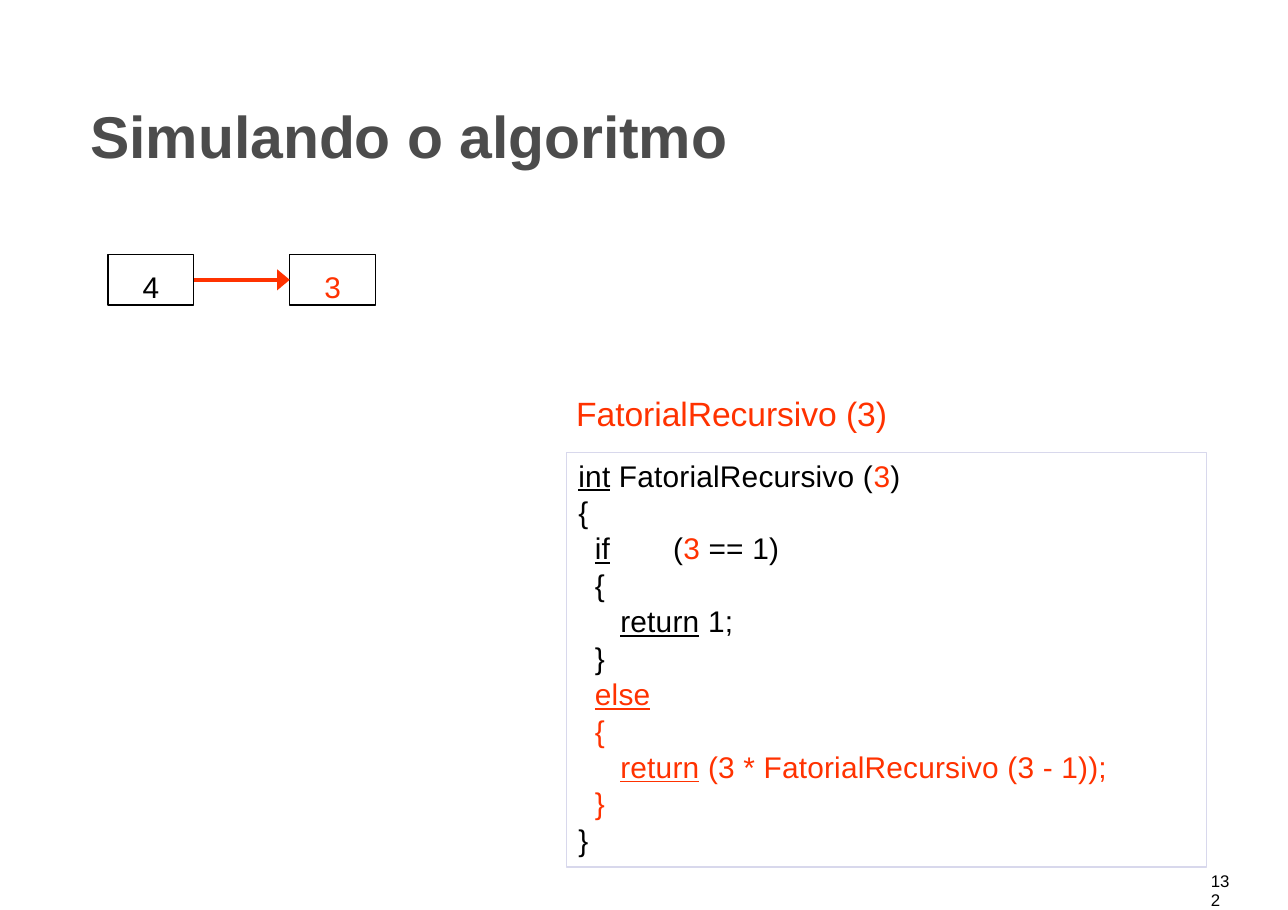
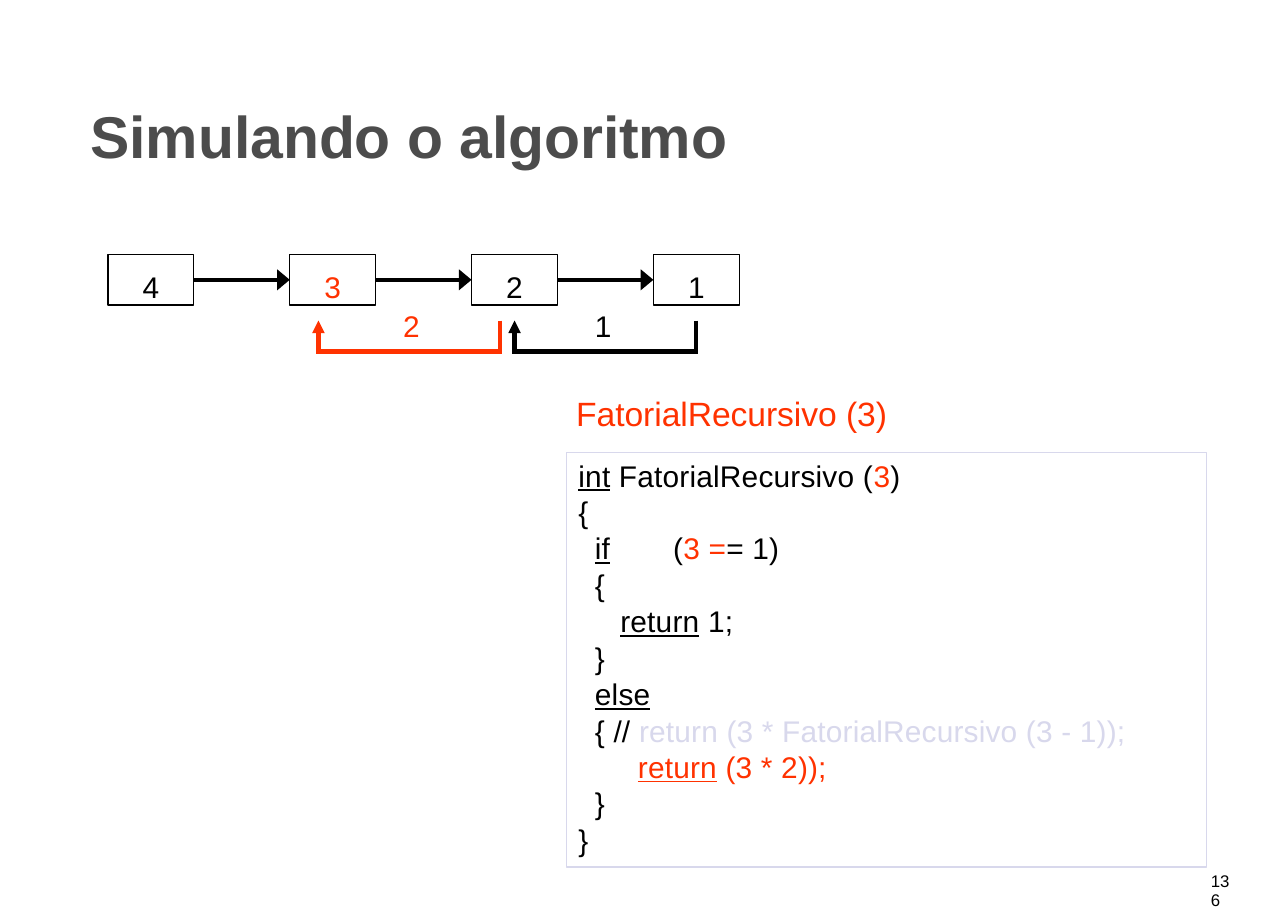
import pptx
import pptx.util
import pptx.dml.color
import pptx.enum.shapes
import pptx.enum.text
import pptx.oxml
import pptx.oxml.ns
from pptx.util import Inches

COLORS = {"black": "000000", "red": "FF3200", "title": "4C4C4C", "pale": "D8D8EC"}
FONT = "Arial"
CODE_SIZE = 19.5
BOX_LEFT, BOX_TOP, BOX_WIDTH, BOX_HEIGHT, BOX_PITCH = 0.98, 2.31, 0.78, 0.46, 1.65
RETURN_TOP, RETURN_BOTTOM = 2.91, 3.19


def write(shape, lines, size, top=0, spacing=10, bold=False, centred=False):
    """Each line is (indent in inches, [(text, colour name, underlined), ...])."""
    frame = shape.text_frame
    frame.word_wrap = True
    frame.vertical_anchor = pptx.enum.text.MSO_ANCHOR.TOP
    frame.margin_left = frame.margin_right = frame.margin_bottom = 0
    frame.margin_top = Inches(top)
    for number, (indent, pieces) in enumerate(lines):
        paragraph = frame.add_paragraph() if number else frame.paragraphs[0]
        align = pptx.enum.text.PP_ALIGN
        paragraph.alignment = align.CENTER if centred else align.LEFT
        if number:
            paragraph.space_before = pptx.util.Pt(0.4)
        properties = paragraph._p.get_or_add_pPr()
        properties.set("marL", str(Inches(indent)))
        if any("\t" in text for text, _, _ in pieces):
            tabs = pptx.oxml.parse_xml(
                f'<a:tabLst {pptx.oxml.ns.nsdecls("a")}>'
                f'<a:tab pos="{Inches(0.71)}" algn="l"/></a:tabLst>')
            properties.append(tabs)
        for text, color, underlined in pieces:
            run = paragraph.add_run()
            run.text = text
            run.font.name = FONT
            run.font.size = pptx.util.Pt(size)
            run.font.bold = bold
            run.font.underline = underlined
            run.font.color.rgb = pptx.dml.color.RGBColor.from_string(COLORS[color])
            run._r.get_or_add_rPr().set("spc", str(spacing))


def draw_line(shape, color, width, head=None):
    """Colour an outline; head is the (width, length) of an end arrowhead."""
    shape.line.color.rgb = pptx.dml.color.RGBColor.from_string(COLORS[color])
    shape.line.width = pptx.util.Pt(width)
    if head:
        outline = shape.line._get_or_add_ln()
        namespace = pptx.oxml.ns.nsdecls("a")
        outline.append(pptx.oxml.parse_xml(f'<a:miter {namespace} lim="800000"/>'))
        outline.append(pptx.oxml.parse_xml(
            f'<a:tailEnd {namespace} type="triangle" w="{head[0]}" len="{head[1]}"/>'))


# Code listing: the parts common to both steps
def_line = (0.11, [("int", "black", True), (" FatorialRecursivo (", "black", False),
                   ("3", "red", False), (")", "black", False)])
open_function = (0.11, [("{", "black", False)])
close_function = (0.11, [("}", "black", False)])
open_block = (0.26, [("{", "black", False)])
close_block = (0.26, [("}", "black", False)])
return_one = (0.49, [("return", "black", True), (" 1;", "black", False)])

steps = [
    {
        "page": "132",
        "calls": [("4", "black"), ("3", "red")],
        "call_color": "red",
        "returns": [],
        "test": [("3 ", "red", False), ("== 1)", "black", False)],
        "else": [
            (0.26, [("else", "red", True)]),
            (0.26, [("{", "red", False)]),
            (0.49, [("return", "red", True),
                    (" (3 * FatorialRecursivo (3 - 1));", "red", False)]),
            (0.26, [("}", "red", False)]),
        ],
    },
    {
        "page": "136",
        "calls": [("4", "black"), ("3", "red"), ("2", "black"), ("1", "black")],
        "call_color": "black",
        # value, colour, left end of the bracket, left of the value
        "returns": [("1", "black", 4.67, 5.39), ("2", "red", 2.89, 3.65)],
        "test": [("3 =", "red", False), ("= 1)", "black", False)],
        "else": [
            (0.26, [("else", "black", True)]),
            (0.26, [("{ // ", "black", False),
                    ("return (3 * FatorialRecursivo (3 - 1));", "pale", False)]),
            (0.65, [("return", "red", True), (" (3 * 2));", "red", False)]),
            close_block,
        ],
    },
]

deck = pptx.Presentation()
deck.slide_width, deck.slide_height = Inches(11.69), Inches(8.26)
RECTANGLE = pptx.enum.shapes.MSO_SHAPE.RECTANGLE

for step in steps:
    shapes = deck.slides.add_slide(deck.slide_layouts[6]).shapes

    # Title, call heading and page number
    title = shapes.add_textbox(Inches(0.8), Inches(0.55), Inches(10.09), Inches(1))
    write(title, [(0.02, [("Simulando o algoritmo", "title", False)])], 38.5,
          top=0.35, spacing=-5, bold=True)
    heading = shapes.add_textbox(Inches(5.22), Inches(3.57), Inches(2.87), Inches(0.38))
    write(heading, [(0.01, [("FatorialRecursivo (3)", "red", False)])], 22, spacing=-4)
    page = shapes.add_textbox(Inches(10.96), Inches(7.92), Inches(0.23), Inches(0.17))
    write(page, [(0.03, [(step["page"], "black", False)])], 11, spacing=0)
    page.text_frame.paragraphs[0].line_spacing = pptx.util.Pt(12.2)

    # Code listing
    listing = shapes.add_shape(RECTANGLE, Inches(5.14), Inches(4.11),
                               Inches(5.81), Inches(3.76))
    listing.shadow.inherit = False
    listing.fill.background()
    draw_line(listing, "pale", 0.83)
    if_line = (0.26, [("if", "black", True), ("\t(", "black", False)] + step["test"])
    write(listing, [def_line, open_function, if_line, open_block, return_one, close_block]
          + step["else"] + [close_function], CODE_SIZE, top=0.04)

    # Chain of calls
    previous = None
    for position, (value, color) in enumerate(step["calls"]):
        call = shapes.add_shape(RECTANGLE, Inches(BOX_LEFT + position * BOX_PITCH),
                                Inches(BOX_TOP), Inches(BOX_WIDTH), Inches(BOX_HEIGHT))
        call.shadow.inherit = False
        call.fill.background()
        draw_line(call, "black", 0.83)
        write(call, [(0, [(value, color, False)])], CODE_SIZE, top=0.13, centred=True)
        if previous is not None:
            arrow = shapes.add_connector(pptx.enum.shapes.MSO_CONNECTOR.STRAIGHT, 0, 0, 0, 0)
            arrow.begin_connect(previous, 3)
            arrow.end_connect(call, 1)
            draw_line(arrow, step["call_color"], 2.75, head=("lg", "med"))
            arrow._element.spPr.append(pptx.oxml.parse_xml(
                f'<a:effectLst {pptx.oxml.ns.nsdecls("a")}/>'))
        previous = call

    # Returned values, each over a bracket that points back to the caller
    for value, color, left, value_left in step["returns"]:
        right = left + BOX_PITCH
        outline = shapes.build_freeform(Inches(right), Inches(RETURN_TOP))
        outline.add_line_segments(
            [(Inches(right), Inches(RETURN_BOTTOM)), (Inches(left), Inches(RETURN_BOTTOM)),
             (Inches(left), Inches(RETURN_TOP))], close=False)
        bracket = outline.convert_to_shape()
        bracket.shadow.inherit = False
        bracket.fill.background()
        draw_line(bracket, color, 2.75, head=("med", "med"))
        returned = shapes.add_textbox(Inches(value_left), Inches(2.79),
                                      Inches(0.18), Inches(0.34))
        write(returned, [(0.01, [(value, color, False)])], CODE_SIZE)

deck.save("out.pptx")
